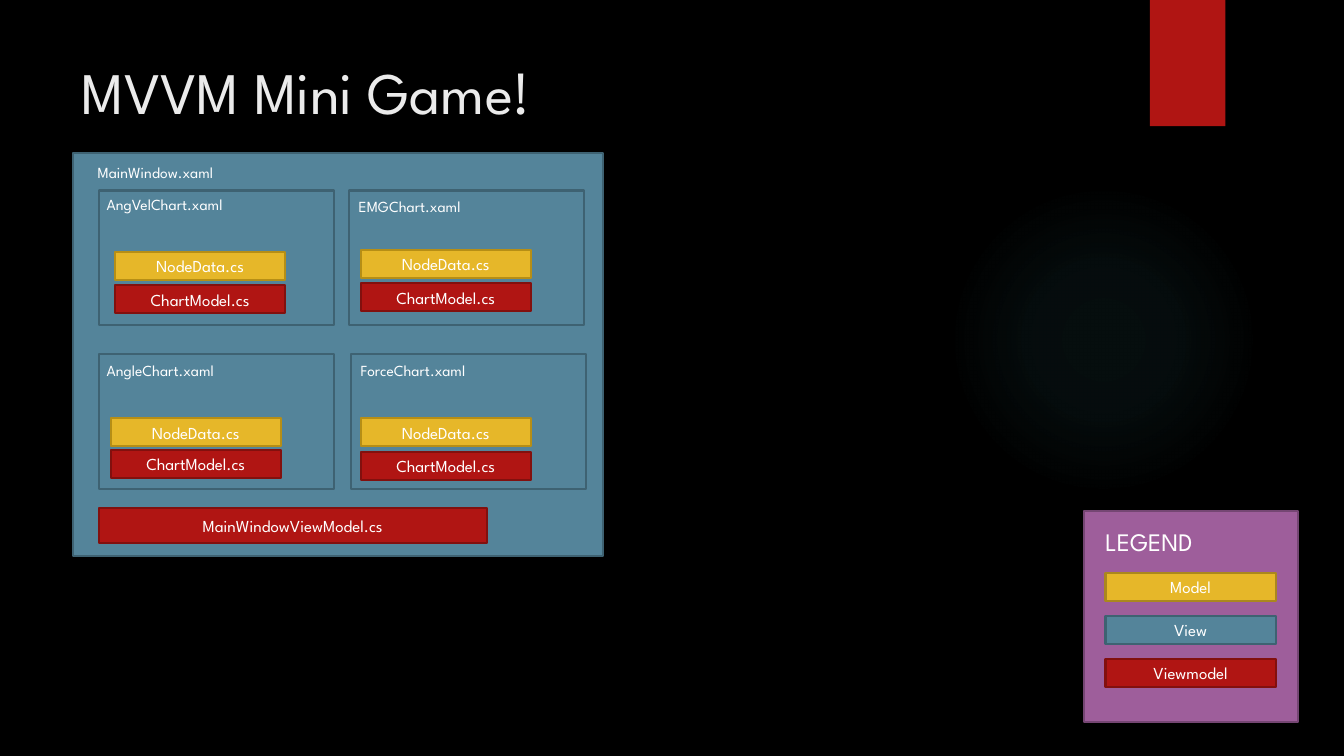
from dataclasses import dataclass

from lxml import etree
from pptx import Presentation
from pptx.dml.color import RGBColor
from pptx.enum import shapes, text
from pptx.oxml import ns
from pptx.util import Cm, Pt


@dataclass(frozen=True)
class Theme:
    font: str = "League Spartan"
    background: str = "000000"
    title: str = "EBEBEB"
    label: str = "FFFFFF"
    glow: str = "50B9C1"
    # Fill and outline of each role
    model: tuple = ("E6B729", "B68E15")
    legend_model: tuple = ("E6B729", "AA871E")
    view: tuple = ("54849A", "3E6272")
    viewmodel: tuple = ("B01513", "82100E")
    legend: tuple = ("9E5E9B", "754673")
    title_size: int = 42
    heading_size: int = 18
    bar_size: int = 12
    label_size: int = 11
    outline: float = 1.5


THEME = Theme()

# All lengths in centimetres: left, top, width, height
TITLE = ("MVVM Mini Game!", (1.8, 1.27, 26.14, 1.78))
GLOW = (23.9, 4.65, 7.82, 7.82)
GLOW_STOPS = [(0, 7), (36, 6), (69, 0)]  # position and opacity in percent
RIBBON = (28.98, 0, 1.9, 3.18)

MAIN_WINDOW = (1.85, 3.86, 13.34, 10.16)
MAIN_LABEL = ("MainWindow.xaml", (2.21, 3.99, 6.5, 0.74))
MAIN_VIEWMODEL = ("MainWindowViewModel.cs", (2.49, 12.8, 9.78, 0.89))

CHART_SIZE = (5.94, 3.4)
BAR_SIZE = (4.29, 0.71)
LABEL_HEIGHT = 0.74
MODEL_FILE, VIEWMODEL_FILE = "NodeData.cs", "ChartModel.cs"
# Name, chart corner, label offset, bar left, model top, viewmodel top
CHARTS = [
    ("EMGChart.xaml", (8.79, 4.8), (0, 0.05), 9.09, 6.3, 7.14),
    ("ForceChart.xaml", (8.84, 8.92), (0, 0.05), 9.09, 10.54, 11.38),
    ("AngleChart.xaml", (2.49, 8.92), (-0.05, 0.05), 2.79, 10.54, 11.33),
    ("AngVelChart.xaml", (2.49, 4.8), (-0.05, 0), 2.9, 6.35, 7.19),
]

LEGEND = (27.33, 12.88, 5.38, 5.31)
LEGEND_LABEL = ("LEGEND", (27.61, 13.13, 4.8, 1.02))
LEGEND_CORNER, LEGEND_STEP = (27.86, 14.43), 1.09
LEGEND_ROWS = [
    ("Model", THEME.legend_model),
    ("View", THEME.view),
    ("Viewmodel", THEME.viewmodel),
]


def rgb(code):
    return RGBColor.from_string(code)


def write(shape, words, size, color, align, anchor):
    frame = shape.text_frame
    frame.word_wrap = True
    frame.vertical_anchor = anchor
    paragraph = frame.paragraphs[0]
    paragraph.text = words
    paragraph.alignment = align
    paragraph.font.name = THEME.font
    paragraph.font.size = Pt(size)
    paragraph.font.color.rgb = rgb(color)


def add_label(slide, words, box, size=THEME.label_size, color=THEME.label):
    shape = slide.shapes.add_textbox(*map(Cm, box))
    write(shape, words, size, color, text.PP_ALIGN.LEFT, text.MSO_ANCHOR.TOP)


def add_box(slide, box, colors, words=None):
    """Add an outlined rectangle, with a centred caption if words are given."""
    fill, line = colors
    shape = slide.shapes.add_shape(shapes.MSO_SHAPE.RECTANGLE, *map(Cm, box))
    shape.shadow.inherit = False
    shape.fill.solid()
    shape.fill.fore_color.rgb = rgb(fill)
    if line:
        shape.line.color.rgb = rgb(line)
        shape.line.width = Pt(THEME.outline)
    else:
        shape.line.fill.background()
    if words:
        write(shape, words, THEME.bar_size, THEME.label,
              text.PP_ALIGN.CENTER, text.MSO_ANCHOR.MIDDLE)


def add_glow(slide):
    """Add a soft circle whose radial gradient fades to transparent."""
    shape = slide.shapes.add_shape(shapes.MSO_SHAPE.OVAL, *map(Cm, GLOW))
    shape.shadow.inherit = False
    shape.line.fill.background()
    stops = "".join(
        f'<a:gs pos="{position * 1000}"><a:srgbClr val="{THEME.glow}">'
        f'<a:alpha val="{opacity * 1000}"/></a:srgbClr></a:gs>'
        for position, opacity in GLOW_STOPS)
    gradient = etree.fromstring(
        f'<a:gradFill {ns.nsdecls("a")}><a:gsLst>{stops}</a:gsLst>'
        '<a:path path="circle"><a:fillToRect l="50000" t="50000" '
        'r="50000" b="50000"/></a:path></a:gradFill>')
    geometry = shape.element.spPr.find(ns.qn("a:prstGeom"))
    geometry.addnext(gradient)


def add_main_window(slide):
    add_box(slide, MAIN_WINDOW, THEME.view)
    add_label(slide, *MAIN_LABEL)
    for name, (left, top), (dx, dy), bar_left, model_top, viewmodel_top in CHARTS:
        add_box(slide, (left, top, *CHART_SIZE), THEME.view)
        add_label(slide, name, (left + dx, top + dy, CHART_SIZE[0], LABEL_HEIGHT))
        add_box(slide, (bar_left, viewmodel_top, *BAR_SIZE),
                THEME.viewmodel, VIEWMODEL_FILE)
        add_box(slide, (bar_left, model_top, *BAR_SIZE), THEME.model, MODEL_FILE)
    words, box = MAIN_VIEWMODEL
    add_box(slide, box, THEME.viewmodel, words)


def add_legend(slide):
    add_box(slide, LEGEND, THEME.legend)
    add_label(slide, *LEGEND_LABEL, size=THEME.heading_size)
    left, top = LEGEND_CORNER
    for row, (role, colors) in enumerate(LEGEND_ROWS):
        add_box(slide, (left, top + row * LEGEND_STEP, *BAR_SIZE), colors, role)


def main():
    presentation = Presentation()
    presentation.slide_width, presentation.slide_height = Cm(33.87), Cm(19.05)
    slide = presentation.slides.add_slide(presentation.slide_layouts[6])
    slide.background.fill.solid()
    slide.background.fill.fore_color.rgb = rgb(THEME.background)
    add_glow(slide)
    add_box(slide, RIBBON, (THEME.viewmodel[0], None))
    add_label(slide, *TITLE, size=THEME.title_size, color=THEME.title)
    add_main_window(slide)
    add_legend(slide)
    presentation.save("out.pptx")


if __name__ == "__main__":
    main()
